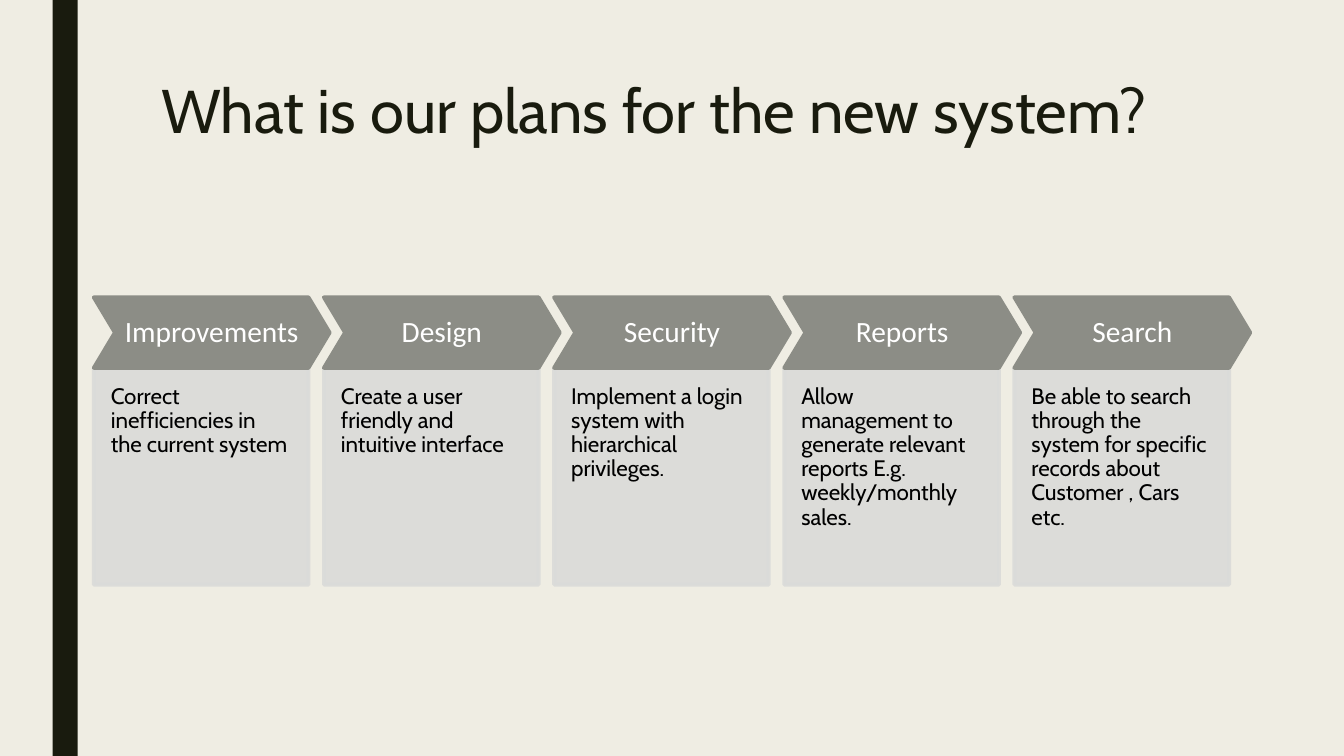
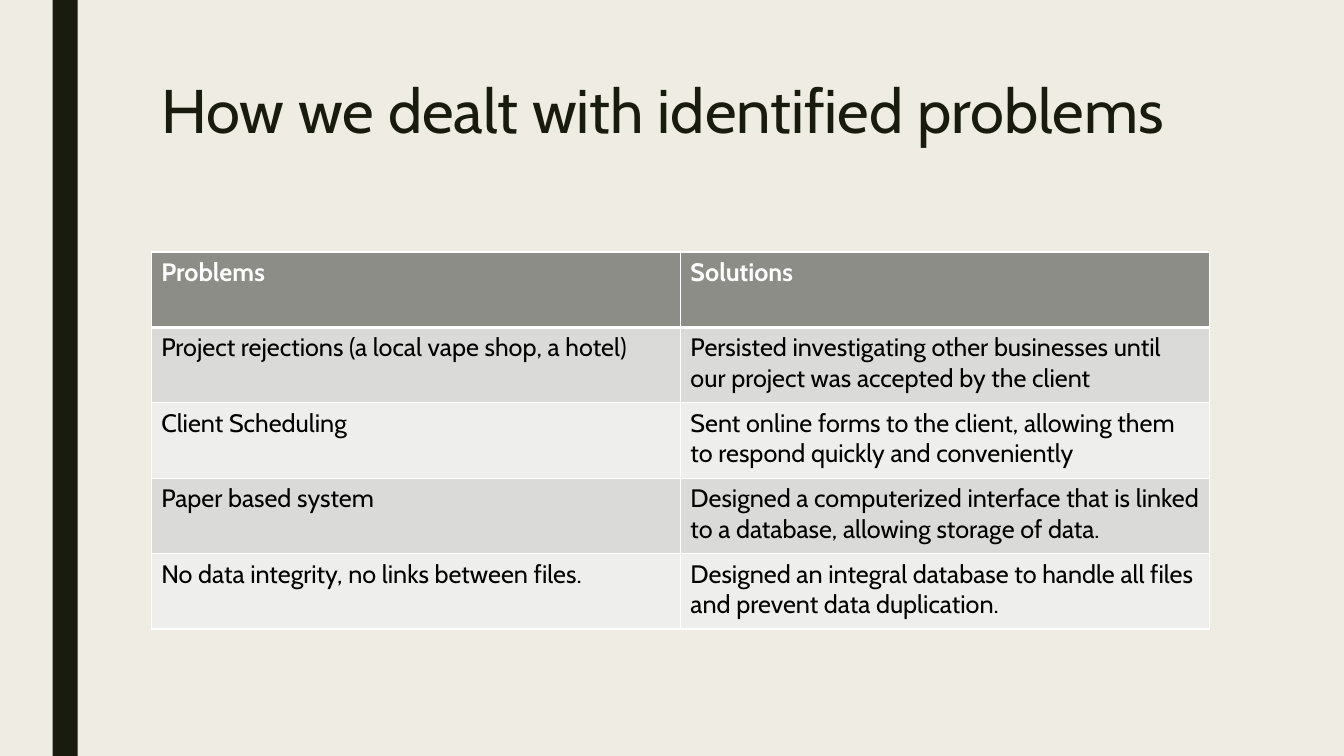
"""Build two slides about plans for a new system and the problems solved."""
import lxml.etree
import pptx
import pptx.dml.color
import pptx.enum.shapes
import pptx.enum.text
import pptx.oxml.ns
import pptx.util

Pt = pptx.util.Pt
RGBColor = pptx.dml.color.RGBColor
Shape = pptx.enum.shapes.MSO_SHAPE
Align = pptx.enum.text.PP_ALIGN
Anchor = pptx.enum.text.MSO_ANCHOR
qn = pptx.oxml.ns.qn

CREAM = RGBColor(0xEF, 0xED, 0xE3)
INK = RGBColor(0x19, 0x1B, 0x0E)
GREY = RGBColor(0x8C, 0x8D, 0x86)
SILVER = RGBColor(0xDA, 0xDB, 0xD9)
PALE = RGBColor(0xEE, 0xEE, 0xED)
WHITE = RGBColor(0xFF, 0xFF, 0xFF)
BLACK = RGBColor(0, 0, 0)


def write(frame, text, size=18, color=BLACK, font="Cabin", bold=False,
          align=Align.LEFT, anchor=Anchor.TOP, spacing=1.0,
          insets=(7.2, 3.6, 7.2, 3.6), wrap=True):
    """Put one formatted paragraph into a text frame."""
    frame.word_wrap = wrap
    frame.vertical_anchor = anchor
    (frame.margin_left, frame.margin_top,
     frame.margin_right, frame.margin_bottom) = map(Pt, insets)
    para = frame.paragraphs[0]
    para.alignment = align
    para.line_spacing = spacing
    span = para.add_run()
    span.text = text
    span.font.size = Pt(size)
    span.font.name = font
    span.font.bold = bold
    span.font.color.rgb = color


class Slides:
    """Hold the deck, its shared style and the current page."""

    def __init__(self):
        """Start a wide deck."""
        self.deck = pptx.Presentation()
        self.deck.slide_width = Pt(960)
        self.deck.slide_height = Pt(540)
        self.page = None

    def add_page(self, title):
        """Add a page with background, side band and title."""
        self.page = self.deck.slides.add_slide(self.deck.slide_layouts[6])
        self.page.background.fill.solid()
        self.page.background.fill.fore_color.rgb = CREAM
        self.shape(Shape.RECTANGLE, 37.5, 0, 18, 540, INK)
        box = self.page.shapes.add_textbox(Pt(108), Pt(54), Pt(756), Pt(116.6))
        write(box.text_frame, title, size=44, color=INK, spacing=0.89)

    def shape(self, kind, left, top, width, height, color, line=0, opacity=100):
        """Add a flat preset shape, outlined in its own colour if line is set."""
        shape = self.page.shapes.add_shape(
            kind, Pt(left), Pt(top), Pt(width), Pt(height))
        shape.shadow.inherit = False
        shape.fill.solid()
        shape.fill.fore_color.rgb = color
        if line:
            shape.line.width = Pt(line)
            shape.line.color.rgb = color
        else:
            shape.line.fill.background()
        if opacity < 100:
            for paint in shape._element.spPr.iter(qn("a:srgbClr")):
                alpha = lxml.etree.SubElement(paint, qn("a:alpha"))
                alpha.set("val", str(opacity * 1000))
        return shape

    def step(self, left, heading, detail):
        """Add a chevron heading with its card below."""
        card = self.shape(Shape.RECTANGLE, left, 262.8, 153.4, 154.8,
                          SILVER, line=2.75, opacity=90)
        write(card.text_frame, detail, size=16, spacing=0.9,
              insets=(12.2, 12.2, 12.2, 24.5))
        chevron = self.shape(Shape.CHEVRON, left, 212.4, 168.5, 50.4,
                             GREY, line=2.75)
        chevron.adjustments[0] = 0.3
        write(chevron.text_frame, heading, size=21, color=WHITE, font="Calibri",
              align=Align.CENTER, anchor=Anchor.MIDDLE, spacing=0.9, wrap=False)

    def borders(self, cell, **widths):
        """Draw white cell borders; widths are given by side."""
        properties = cell._tc.get_or_add_tcPr()
        for side in "LRTB":
            line = lxml.etree.SubElement(properties, qn("a:ln" + side))
            line.set("w", str(Pt(widths.get(side, 1))))
            fill = lxml.etree.SubElement(line, qn("a:solidFill"))
            paint = lxml.etree.SubElement(fill, qn("a:srgbClr"))
            paint.set("val", str(WHITE))

    def table(self, left, top, width, row_height, rows):
        """Add a table with a dark heading row and banded body."""
        table = self.page.shapes.add_table(
            len(rows), len(rows[0]), Pt(left), Pt(top),
            Pt(width), Pt(row_height * len(rows))).table
        for number, texts in enumerate(rows):
            table.rows[number].height = Pt(row_height)
            heading = number == 0
            band = GREY if heading else SILVER if number % 2 else PALE
            for column, text in enumerate(texts):
                cell = table.cell(number, column)
                self.borders(cell, T=3 if number == 1 else 1,
                             B=3 if heading else 1)
                cell.fill.solid()
                cell.fill.fore_color.rgb = band
                write(cell.text_frame, text, bold=heading,
                      color=WHITE if heading else BLACK)


STEPS = [
    ("Improvements", "Correct inefficiencies in the current system"),
    ("Design", "Create a user friendly and intuitive interface"),
    ("Security", "Implement a login system with hierarchical privileges."),
    ("Reports", "Allow management to generate relevant reports E.g. "
                "weekly/monthly sales."),
    ("Search", "Be able to search\u00a0 through the system for specific "
               "records\u00a0about Customer , Cars etc."),
]
PROBLEMS = [
    ("Problems", "Solutions"),
    ("Project rejections (a local vape shop, a hotel)",
     "Persisted investigating other businesses until our project was "
     "accepted by the client"),
    ("Client Scheduling",
     "Sent online forms to the client, allowing them to respond quickly "
     "and conveniently"),
    ("Paper based system",
     "Designed a computerized interface that is linked to a database, "
     "allowing storage of data."),
    ("No data integrity, no links between files.",
     "Designed an integral database to handle all files and prevent "
     "data duplication."),
]

slides = Slides()
slides.add_page("What is our plans for the new system?")
for index, (heading, detail) in enumerate(STEPS):
    slides.step(67 + 164.4 * index, heading, detail)

slides.add_page("How we dealt with identified problems")
slides.table(108, 180, 756, 53.86, PROBLEMS)

slides.deck.save("out.pptx")
